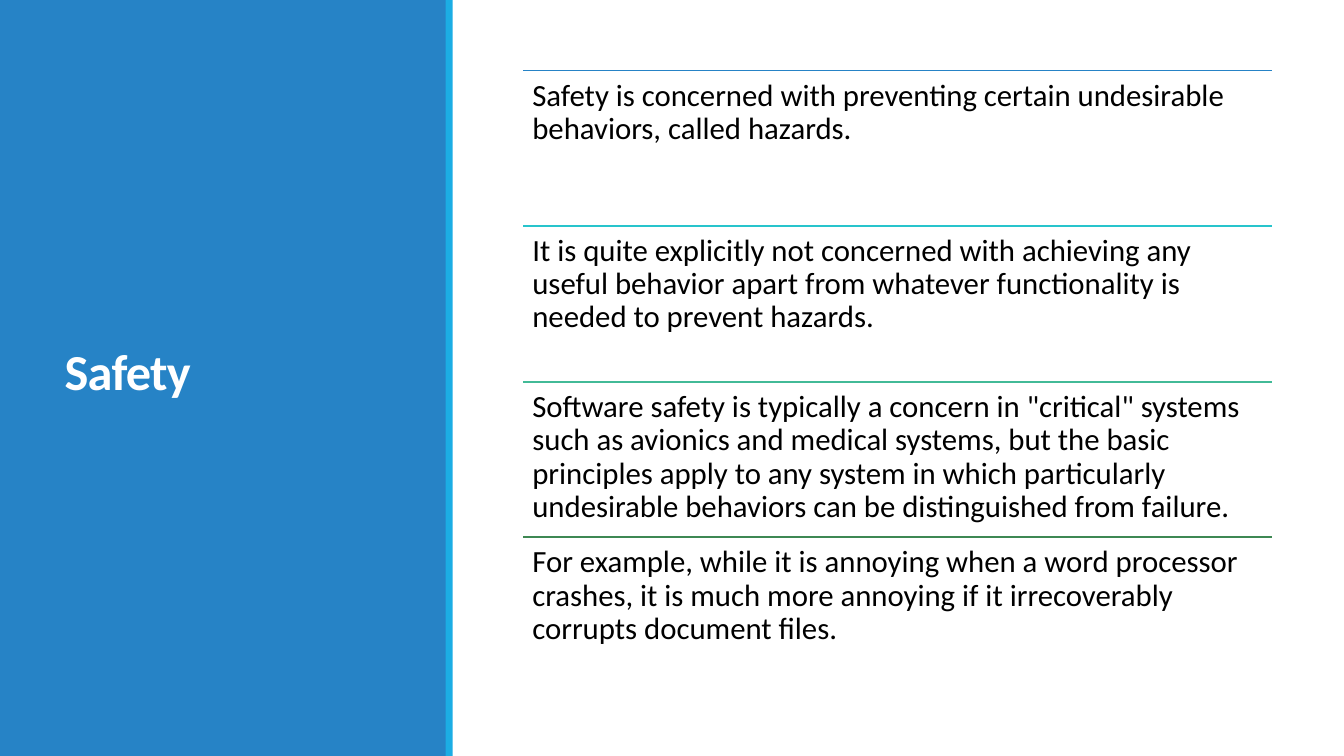
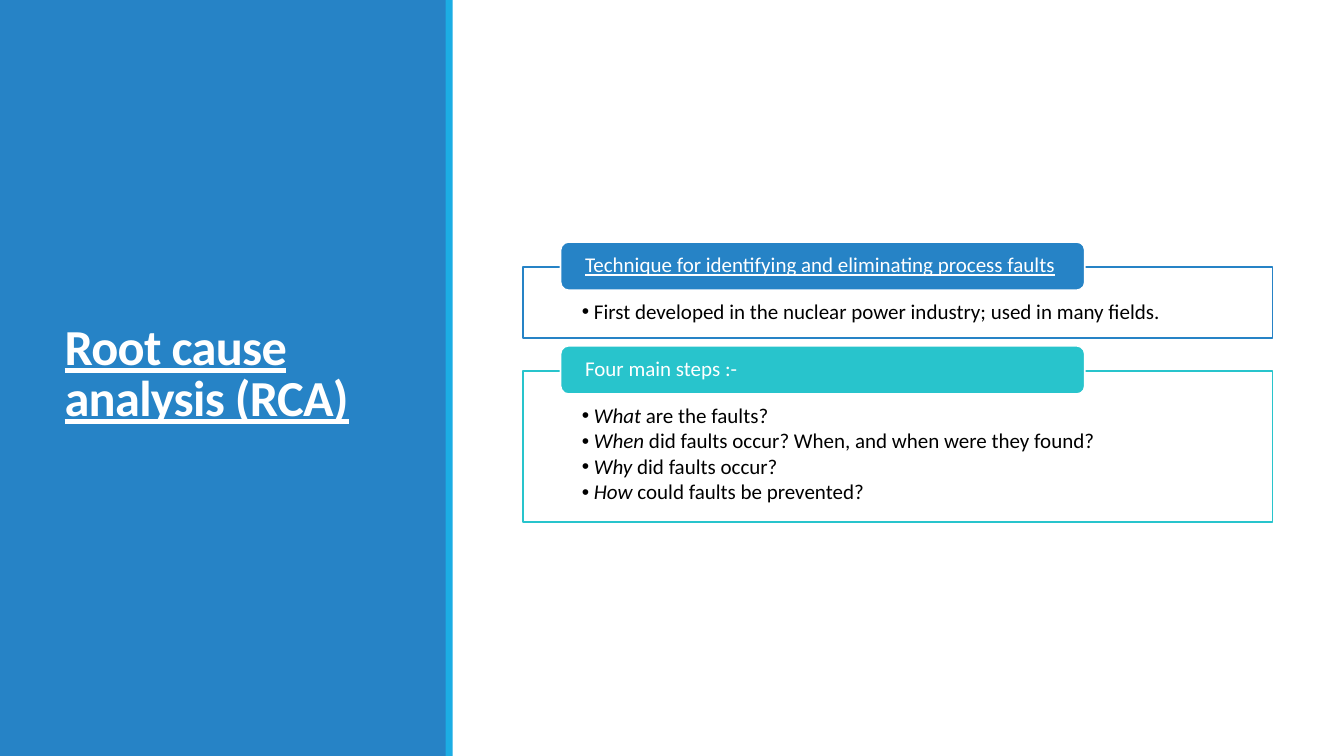
from dataclasses import dataclass

from lxml import etree
from pptx import Presentation
from pptx import util as u
from pptx.dml.color import RGBColor
from pptx.enum import shapes, text
from pptx.oxml.ns import qn

PX = 9144  # EMU, 100 px to the inch
SLIDE_WIDTH, SLIDE_HEIGHT = 1333, 750
TITLE_ONLY, TWO_CONTENT = 5, 3  # layout numbers


@dataclass(frozen=True)
class Theme:
    font: str = "Calibri"
    title_size: int = 36
    statement_size: int = 22
    list_size: int = 15
    line_width: float = 1.25
    white: str = "FFFFFF"
    black: str = "000000"
    strip: str = "1CADE4"
    accents: tuple = ("2683C6", "28C4CC", "42BA97", "3E8853")


THEME = Theme()

SAFETY_STATEMENTS = [
    "Safety is concerned with preventing certain undesirable behaviors, called hazards.",
    "It is quite explicitly not concerned with achieving any useful behavior apart from "
    "whatever functionality is needed to prevent hazards.",
    'Software safety is typically a concern in "critical" systems such as avionics and '
    "medical systems, but the basic principles apply to any system in which particularly "
    "undesirable behaviors can be distinguished from failure.",
    "For example, while it is annoying when a word processor crashes, it is much more "
    "annoying if it irrecoverably corrupts document files.",
]

# Each list item is its italic opening and the rest of the sentence.
RCA_SECTIONS = [
    {
        "heading": "Technique for identifying and eliminating process faults",
        "underline": True,
        "height": 70,
        "items": [
            ("", "First developed in the nuclear power industry; used in many fields."),
        ],
    },
    {
        "heading": "Four main steps :-",
        "underline": False,
        "height": 150,
        "items": [
            ("What", " are the faults?"),
            ("When ", "did faults occur? When, and when were they found?"),
            ("Why ", "did faults occur?"),
            ("How ", "could faults be prevented?"),
        ],
    },
]

CONTENT_LEFT, CONTENT_WIDTH = 519, 743
STATEMENT_TOP, STATEMENT_PITCH = 70, 154.4
SECTION_TOP, SECTION_GAP = 265, 33
TAB_LEFT, TAB_WIDTH, TAB_HEIGHT, TAB_RISE = 556, 520, 48, 25


def emu(*pixels):
    return [u.Emu(round(pixel * PX)) for pixel in pixels]


def place(shape, *box):
    shape.left, shape.top, shape.width, shape.height = emu(*box)


def paint(shape, fill, line=None):
    shape.fill.solid()
    shape.fill.fore_color.rgb = RGBColor.from_string(fill)
    if line:
        draw_line(shape, line)
    else:
        shape.line.fill.background()


def draw_line(shape, color):
    shape.line.color.rgb = RGBColor.from_string(color)
    shape.line.width = u.Pt(THEME.line_width)


def add_block(slide, kind, box, fill, line=None):
    block = slide.shapes.add_shape(kind, *emu(*box))
    block.shadow.inherit = False
    paint(block, fill, line)
    return block


def set_frame(frame, margins, anchor=text.MSO_ANCHOR.TOP):
    frame.word_wrap = True
    frame.auto_size = text.MSO_AUTO_SIZE.NONE
    frame.vertical_anchor = anchor
    (frame.margin_left, frame.margin_top,
     frame.margin_right, frame.margin_bottom) = emu(*margins)


def style_paragraph(paragraph, size, color, line_spacing=0.9, space_after=0):
    paragraph.alignment = text.PP_ALIGN.LEFT
    paragraph.line_spacing = line_spacing
    paragraph.space_before = u.Pt(0)
    paragraph.space_after = u.Pt(space_after)
    paragraph.font.name = THEME.font
    paragraph.font.size = u.Pt(size)
    paragraph.font.color.rgb = RGBColor.from_string(color)


def add_titled_slide(presentation, layout, heading, underline=False):
    """Add a slide with the side panel, its bright strip and the title."""
    slide = presentation.slides.add_slide(presentation.slide_layouts[layout])
    title = slide.shapes.title
    panel = add_block(slide, shapes.MSO_SHAPE.RECTANGLE,
                      (0, 0, 443, SLIDE_HEIGHT), THEME.accents[0])
    title.element.addprevious(panel.element)
    add_block(slide, shapes.MSO_SHAPE.RECTANGLE,
              (442, 0, 7, SLIDE_HEIGHT), THEME.strip)

    place(title, 54, 57, 337, 631)
    set_frame(title.text_frame, (10, 5, 10, 5), text.MSO_ANCHOR.MIDDLE)
    title.text_frame.text = heading
    paragraph = title.text_frame.paragraphs[0]
    style_paragraph(paragraph, THEME.title_size, THEME.white, line_spacing=0.85)
    paragraph.font.bold = True
    paragraph.font.underline = underline
    for properties in title.element.iter(qn("a:defRPr")):
        properties.set("spc", "-50")
    return slide


def add_statement(slide, top, statement, color):
    left, right, y = emu(CONTENT_LEFT, CONTENT_LEFT + CONTENT_WIDTH, top)
    rule = slide.shapes.add_connector(shapes.MSO_CONNECTOR.STRAIGHT, left, y, right, y)
    draw_line(rule, color)
    etree.SubElement(rule.element.spPr, qn("a:effectLst"))

    box = slide.shapes.add_textbox(
        *emu(CONTENT_LEFT, top, CONTENT_WIDTH, STATEMENT_PITCH))
    set_frame(box.text_frame, (9, 9, 9, 9))
    box.text_frame.text = statement
    style_paragraph(box.text_frame.paragraphs[0], THEME.statement_size, THEME.black)


def fill_list(frame, items):
    for index, (opening, rest) in enumerate(items):
        paragraph = frame.add_paragraph() if index else frame.paragraphs[0]
        indent = emu(12)[0]
        properties = paragraph._p.get_or_add_pPr()
        properties.set("marL", str(indent))
        properties.set("indent", str(-indent))
        style_paragraph(paragraph, THEME.list_size, THEME.black, space_after=2)
        if opening:
            run = paragraph.add_run()
            run.text = opening
            run.font.italic = True
        paragraph.add_run().text = rest


def add_section(slide, body, top, section, color):
    """Outline a list placeholder and set its heading tab on the top edge."""
    place(body, CONTENT_LEFT, top, CONTENT_WIDTH, section["height"])
    paint(body, THEME.white, color)
    set_frame(body.text_frame, (58, 34, 58, 12))
    fill_list(body.text_frame, section["items"])

    tab = add_block(slide, shapes.MSO_SHAPE.ROUNDED_RECTANGLE,
                    (TAB_LEFT, top - TAB_RISE, TAB_WIDTH, TAB_HEIGHT),
                    color, THEME.white)
    set_frame(tab.text_frame, (22, 0, 22, 0), text.MSO_ANCHOR.MIDDLE)
    tab.text_frame.text = section["heading"]
    paragraph = tab.text_frame.paragraphs[0]
    style_paragraph(paragraph, THEME.list_size, THEME.white)
    paragraph.font.underline = section["underline"]


def build_safety(presentation):
    slide = add_titled_slide(presentation, TITLE_ONLY, "Safety")
    for index, statement in enumerate(SAFETY_STATEMENTS):
        top = STATEMENT_TOP + round(index * STATEMENT_PITCH)
        add_statement(slide, top, statement, THEME.accents[index])


def build_root_cause(presentation):
    slide = add_titled_slide(presentation, TWO_CONTENT,
                             "Root cause analysis (RCA)", underline=True)
    bodies = [holder for holder in slide.placeholders
              if holder.placeholder_format.idx > 0]
    top = SECTION_TOP
    for body, section, color in zip(bodies, RCA_SECTIONS, THEME.accents):
        add_section(slide, body, top, section, color)
        top += section["height"] + SECTION_GAP


def main():
    presentation = Presentation()
    presentation.slide_width, presentation.slide_height = emu(SLIDE_WIDTH, SLIDE_HEIGHT)
    build_safety(presentation)
    build_root_cause(presentation)
    presentation.save("out.pptx")


if __name__ == "__main__":
    main()
